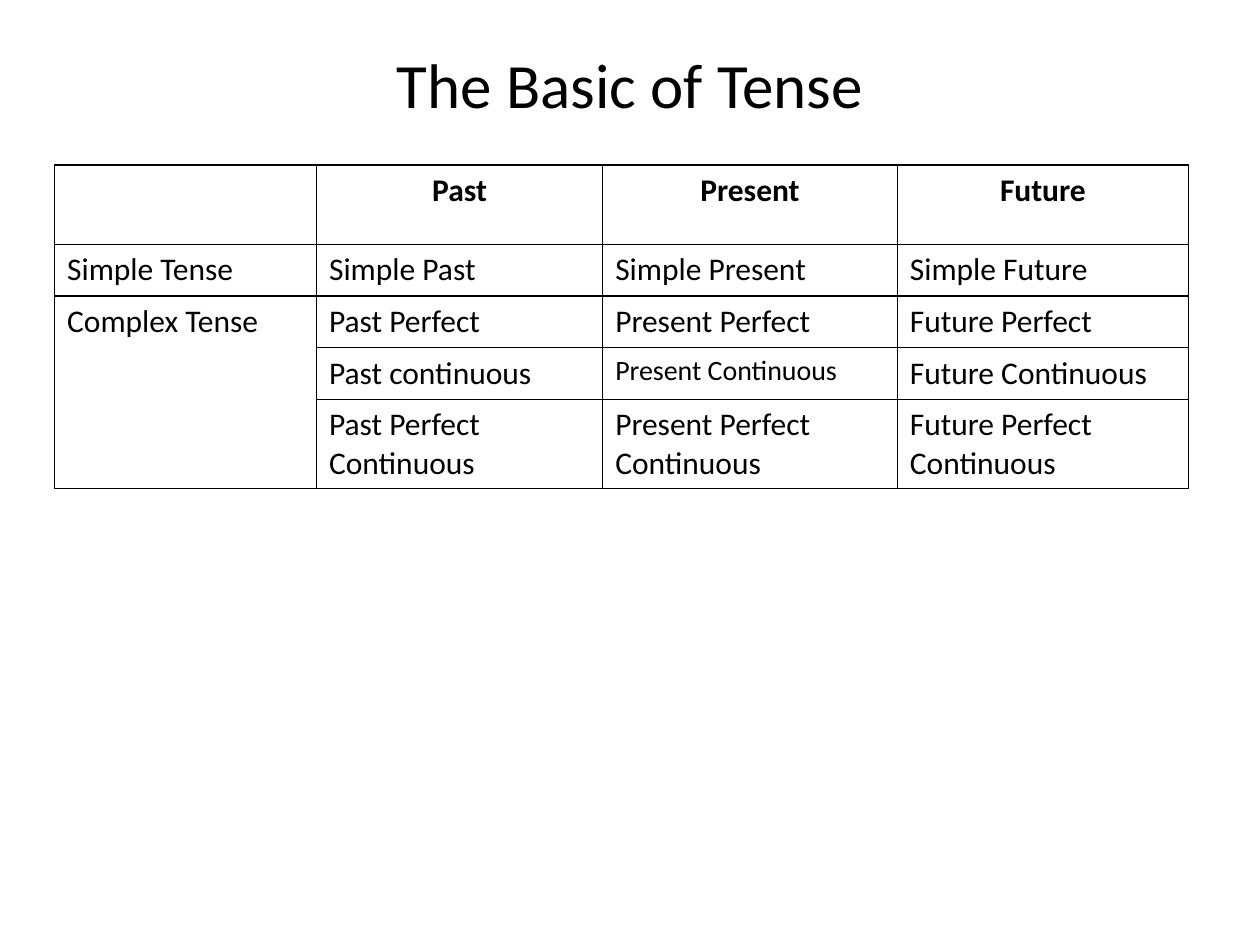
import pptx
import pptx.dml.color
import pptx.enum.text
import pptx.oxml.ns
import pptx.util
import lxml.etree

Cm = pptx.util.Cm
Pt = pptx.util.Pt
ALIGN = pptx.enum.text.PP_ALIGN
ANCHOR = pptx.enum.text.MSO_ANCHOR
BLACK = pptx.dml.color.RGBColor(0, 0, 0)
FONT = "Calibri"

COLUMN_WIDTHS = [5.28, 5.77, 5.94, 5.87]
ROW_HEIGHTS = [1.6, 1.04, 1.04, 1.04, 1.8]
TENSES = [
    ["", "Past", "Present", "Future"],
    ["Simple Tense", "Simple Past", "Simple Present", "Simple Future"],
    ["Complex Tense", "Past Perfect", "Present Perfect", "Future Perfect"],
    ["", "Past continuous", "Present Continuous", "Future Continuous"],
    ["", "Past Perfect Continuous", "Present Perfect Continuous", "Future Perfect Continuous"],
]


def add_run(paragraph, text, size, bold=False):
    run = paragraph.add_run()
    run.text = text
    run.font.name = FONT
    run.font.size = Pt(size)
    run.font.bold = bold
    run.font.color.rgb = BLACK


def add_borders(cell):
    qn = pptx.oxml.ns.qn
    properties = cell._tc.get_or_add_tcPr()
    for side in ("a:lnL", "a:lnR", "a:lnT", "a:lnB"):
        line = lxml.etree.SubElement(properties, qn(side), w=str(Pt(1)))
        fill = lxml.etree.SubElement(line, qn("a:solidFill"))
        lxml.etree.SubElement(fill, qn("a:srgbClr"), val=str(BLACK))


presentation = pptx.Presentation()
presentation.slide_width = Cm(25.4)
presentation.slide_height = Cm(19.05)
slide = presentation.slides.add_slide(presentation.slide_layouts[6])

title = slide.shapes.add_textbox(Cm(1.27), Cm(0.76), Cm(22.86), Cm(1.83))
title.text_frame.word_wrap = True
title.text_frame.vertical_anchor = ANCHOR.MIDDLE
title_paragraph = title.text_frame.paragraphs[0]
title_paragraph.alignment = ALIGN.CENTER
add_run(title_paragraph, "The Basic of Tense", 36)

table = slide.shapes.add_table(
    len(ROW_HEIGHTS), len(COLUMN_WIDTHS), Cm(1.1), Cm(3.33),
    Cm(sum(COLUMN_WIDTHS)), Cm(sum(ROW_HEIGHTS)),
).table
table.first_row = False
table.horz_banding = False
for column, width in zip(table.columns, COLUMN_WIDTHS):
    column.width = Cm(width)
for row, height in zip(table.rows, ROW_HEIGHTS):
    row.height = Cm(height)
table.cell(2, 0).merge(table.cell(4, 0))

for row_index, row_texts in enumerate(TENSES):
    is_header = row_index == 0
    for column_index, text in enumerate(row_texts):
        cell = table.cell(row_index, column_index)
        add_borders(cell)
        cell.fill.background()
        if text:
            paragraph = cell.text_frame.paragraphs[0]
            paragraph.alignment = ALIGN.CENTER if is_header else ALIGN.LEFT
            size = 16 if text == "Present Continuous" else 18
            add_run(paragraph, text, size, is_header)

presentation.save("out.pptx")
